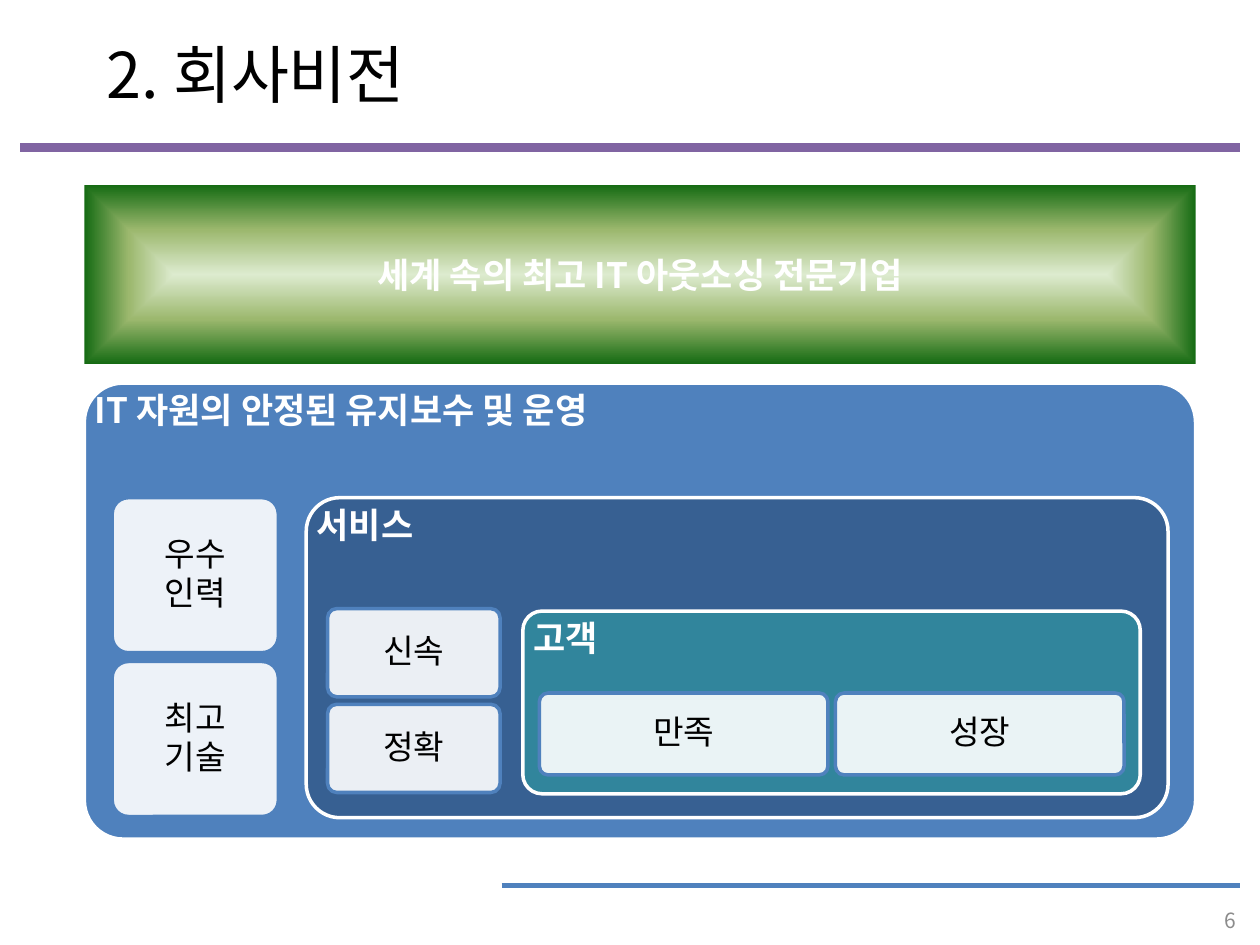
import pptx
import pptx.dml.color
import pptx.enum.shapes
import pptx.enum.text
import pptx.oxml
import pptx.oxml.ns
import pptx.util
from lxml import etree

Pt = pptx.util.Pt
Shape = pptx.enum.shapes.MSO_SHAPE
Align = pptx.enum.text.PP_ALIGN
Anchor = pptx.enum.text.MSO_ANCHOR
qn = pptx.oxml.ns.qn

FONT = "Noto Sans CJK KR"
WHITE, BLACK, GREY = "FFFFFF", "000000", "8C8C8C"
BLUE, NAVY, TEAL, PURPLE = "4F81BD", "376092", "31859C", "8064A2"
BANNER_STOPS = [(0, "DDEBCF"), (50, "9CB86E"), (100, "156B13")]


def color(value):
    return pptx.dml.color.RGBColor.from_string(value)


def write(shape, text, size=19, fill=BLACK, bold=False, align=Align.CENTER,
          anchor=Anchor.MIDDLE, inset=6, spacing=None, after=0):
    frame = shape.text_frame
    frame.word_wrap = True
    frame.vertical_anchor = anchor
    frame.margin_left = frame.margin_right = Pt(inset)
    frame.margin_top = frame.margin_bottom = Pt(inset)
    for index, line in enumerate(text.split("\n")):
        para = frame.add_paragraph() if index else frame.paragraphs[0]
        para.alignment = align
        para.line_spacing = spacing
        para.space_after = Pt(after)
        span = para.add_run()
        span.text = line
        span.font.size = Pt(size)
        span.font.bold = bold
        span.font.color.rgb = color(fill)
        span.font.name = FONT
        etree.SubElement(span.font._element, qn("a:ea"), typeface=FONT)


class Painter:
    """Draws the elements of the vision page in one shared style."""

    def __init__(self, page):
        self.shapes = page.shapes

    def rule(self, left, right, top, fill, width):
        line = self.shapes.add_connector(pptx.enum.shapes.MSO_CONNECTOR.STRAIGHT,
                                         Pt(left), Pt(top), Pt(right), Pt(top))
        line.line.color.rgb = color(fill)
        line.line.width = Pt(width)
        etree.SubElement(line._element.spPr, qn("a:effectLst"))

    def label(self, area, text, **style):
        box = self.shapes.add_textbox(*map(Pt, area))
        write(box, text, **style)

    def rounded(self, area, fill, line, radius):
        box = self.shapes.add_shape(Shape.ROUNDED_RECTANGLE, *map(Pt, area))
        box.shadow.inherit = False
        box.adjustments[0] = radius
        box.fill.solid()
        box.fill.fore_color.rgb = color(fill)
        box.line.color.rgb = color(line)
        box.line.width = Pt(2)
        return box

    def panel(self, area, heading, fill, radius=0.105):
        self.rounded(area, fill, WHITE, radius)
        self.label(area, heading, size=20, fill=WHITE, bold=True,
                   align=Align.LEFT, anchor=Anchor.TOP, spacing=0.9)

    def cards(self, area, labels, step_x=0, step_y=0):
        left, top, width, height = area
        for index, text in enumerate(labels):
            place = (left + index * step_x, top + index * step_y, width, height)
            box = self.rounded(place, WHITE, BLUE, 0.105)
            tint = box._element.spPr.find(qn("a:solidFill"))
            etree.SubElement(tint[0], qn("a:alpha"), val="90000")
            write(box, text, spacing=0.9, after=2)

    def banner(self, area, text, stops):
        box = self.shapes.add_shape(Shape.RECTANGLE, *map(Pt, area))
        box.shadow.inherit = False
        box.line.fill.background()
        box.fill.background()
        marks = "".join(f'<a:gs pos="{at * 1000}"><a:srgbClr val="{fill}"/></a:gs>'
                        for at, fill in stops)
        gradient = pptx.oxml.parse_xml(
            f'<a:gradFill {pptx.oxml.ns.nsdecls("a")} rotWithShape="1">'
            f'<a:gsLst>{marks}</a:gsLst><a:path path="shape">'
            '<a:fillToRect l="50000" t="50000" r="50000" b="50000"/>'
            '</a:path></a:gradFill>')
        outline = box._element.spPr
        outline.replace(outline.find(qn("a:noFill")), gradient)
        write(box, text, size=20, fill=WHITE, bold=True)


def main():
    deck = pptx.Presentation()
    deck.slide_width, deck.slide_height = Pt(720), Pt(540)
    painter = Painter(deck.slides.add_slide(deck.slide_layouts[6]))

    painter.rule(11.5, 708.5, 84.2, PURPLE, 5)
    painter.rule(286.6, 708.5, 506.2, BLUE, 3)
    painter.label((22.3, 16.6, 247.7, 50.4), "2. 회사비전", size=36)

    painter.panel((48.2, 218.9, 635, 260.6), "IT 자원의 안정된 유지보수 및 운영", BLUE, 0.085)
    painter.cards((64.1, 284.4, 95, 88.6), ["우수\n인력", "최고\n기술"], step_y=93.6)
    painter.panel((175, 284.4, 492.5, 182.9), "서비스", NAVY)
    painter.cards((187.2, 347.8, 98.6, 50.4), ["신속", "정확"], step_y=54.7)
    painter.panel((298.8, 349.2, 352.8, 104.4), "고객", TEAL)
    painter.cards((308.2, 396, 164.9, 46.8), ["만족", "성장"], step_x=169.2)

    painter.banner((48.2, 105.8, 635, 102.2), "세계 속의 최고 IT 아웃소싱 전문기업", BANNER_STOPS)
    painter.label((680.4, 517.7, 28.8, 15.8), "6", size=12, fill=GREY,
                  align=Align.RIGHT, inset=3)
    deck.save("out.pptx")


if __name__ == "__main__":
    main()
